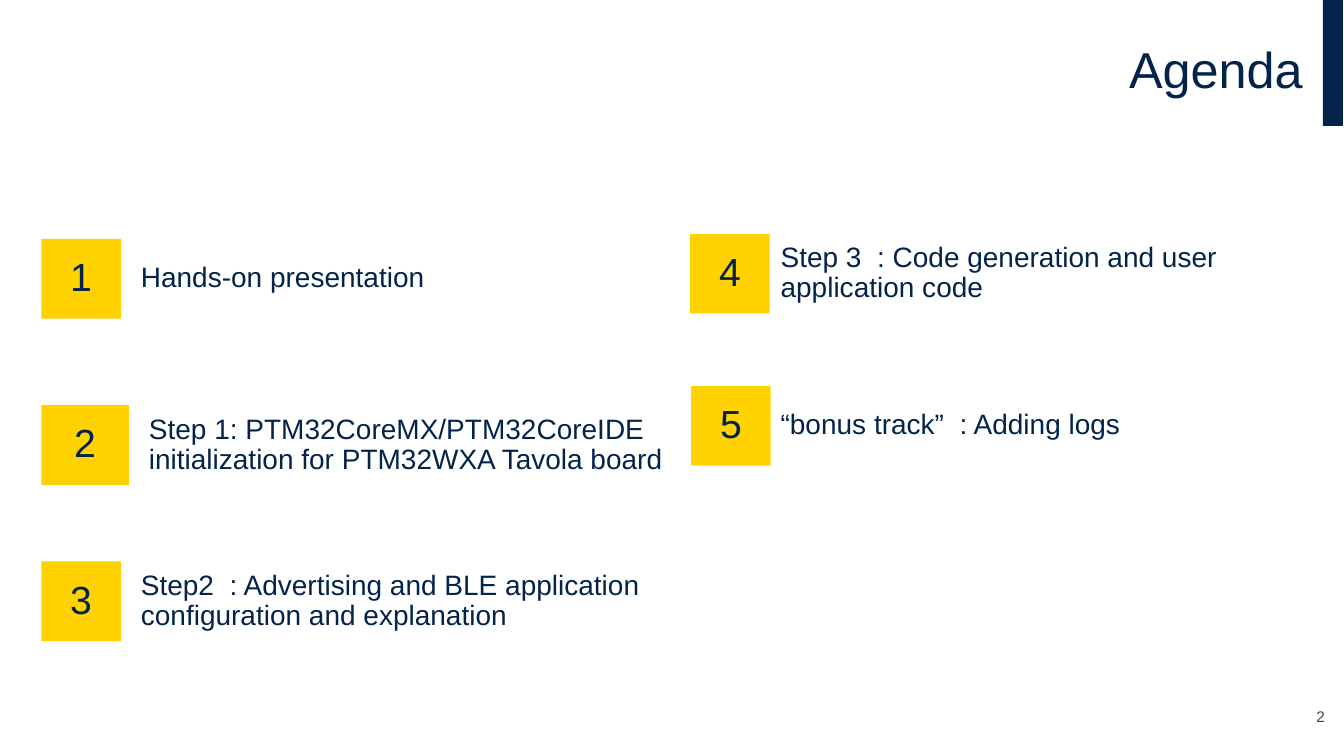
from pptx import Presentation
from pptx.dml.color import RGBColor
from pptx.enum.shapes import MSO_SHAPE
from pptx.enum.text import MSO_ANCHOR, PP_ALIGN
from pptx.util import Emu, Pt

PX = 9144
NAVY = RGBColor(0x03, 0x23, 0x4B)
YELLOW = RGBColor(0xFF, 0xD2, 0x00)
GREY = RGBColor(0x46, 0x46, 0x50)
TILE = 79


def add_block(left, top, width, height, fill):
    block = slide.shapes.add_shape(
        MSO_SHAPE.RECTANGLE, *(Emu(n * PX) for n in (left, top, width, height)))
    block.shadow.inherit = False
    block.fill.solid()
    block.fill.fore_color.rgb = fill
    block.line.fill.background()
    return block


def write(holder, text, size, align=PP_ALIGN.LEFT, color=NAVY,
          anchor=MSO_ANCHOR.MIDDLE, side_inset=10):
    frame = holder.text_frame
    frame.word_wrap = True
    frame.vertical_anchor = anchor
    frame.margin_left = frame.margin_right = Emu(side_inset * PX)
    paragraph = frame.paragraphs[0]
    paragraph.text = text
    paragraph.alignment = align
    paragraph.line_spacing = 0.9
    paragraph.font.name = "Arial"
    paragraph.font.size = Pt(size)
    paragraph.font.color.rgb = color


presentation = Presentation()
presentation.slide_width = Emu(1334 * PX)
presentation.slide_height = Emu(750 * PX)
slide = presentation.slides.add_slide(presentation.slide_layouts[6])

add_block(1313, 0, 20, 125, NAVY)

title = slide.shapes.add_textbox(Emu(33 * PX), 0, Emu(1270 * PX), Emu(143 * PX))
write(title, "Agenda", 36, PP_ALIGN.RIGHT)

page_number = slide.shapes.add_textbox(
    Emu(1270 * PX), Emu(693 * PX), Emu(45 * PX), Emu(32 * PX))
write(page_number, "2", 11, PP_ALIGN.RIGHT, GREY, MSO_ANCHOR.BOTTOM, 0)

agenda = [
    (41, 237, TILE, 130, 519, "Hands-on presentation"),
    (41, 402, 87, 138, 536,
     "Step 1: PTM32CoreMX/PTM32CoreIDE initialization for PTM32WXA Tavola board"),
    (41, 557, TILE, 130, 519,
     "Step2  : Advertising and BLE application configuration and explanation"),
    (685, 232, TILE, 765, 550, "Step 3  : Code generation and user application code"),
    (686, 383, TILE, 765, 550, "“bonus track”  : Adding logs"),
]

for number, (left, top, width, topic_left, topic_width, topic) in enumerate(agenda, 1):
    number_tile = add_block(left, top, width, TILE, YELLOW)
    write(number_tile, str(number), 28, PP_ALIGN.CENTER, side_inset=0)
    topic_label = slide.shapes.add_textbox(
        Emu(topic_left * PX), Emu(top * PX), Emu(topic_width * PX), Emu(TILE * PX))
    write(topic_label, topic, 20)

presentation.save("out.pptx")
